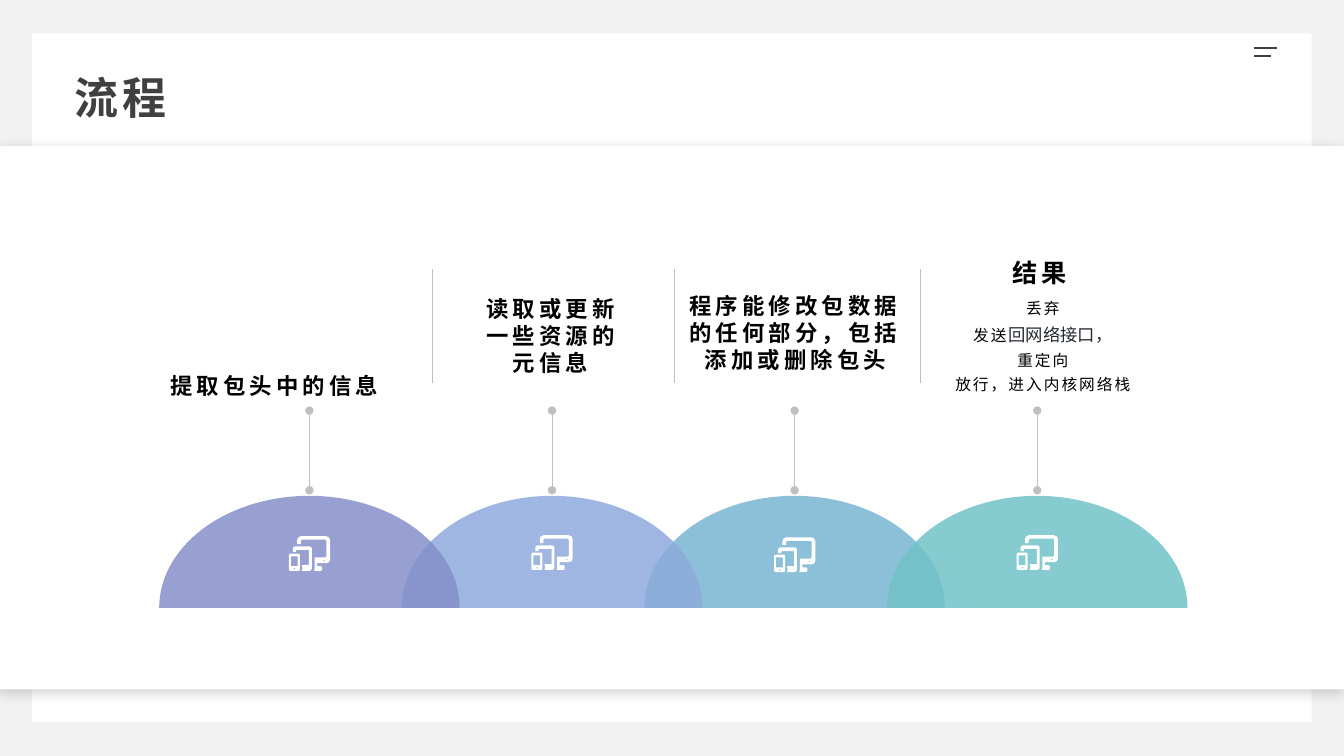
import math
from dataclasses import dataclass

from lxml import etree
from pptx import Presentation
from pptx import util as u
from pptx.dml.color import RGBColor
from pptx.enum import shapes, text
from pptx.oxml import ns


@dataclass(frozen=True)
class Theme:
    backdrop: str = "F2F2F2"
    panel: str = "FFFFFF"
    shadow: str = "0D0D0D"
    heading: str = "404040"
    ink: str = "000000"
    note: str = "24292F"
    rule: str = "BFBFBF"
    violet: str = "8590CA"
    blue: str = "8EAADC"
    azure: str = "79B6D3"
    teal: str = "70C2C7"
    main_font: str = "Noto Sans CJK SC"
    note_font: str = "Roboto"
    title_size: float = 31.4
    result_size: float = 18
    step_size: float = 16
    note_size: float = 12.4
    list_size: float = 11.2


theme = Theme()


def style_font(font, size, color, spacing, bold=False, name=theme.main_font):
    font.size, font.bold, font.name = u.Pt(size), bold, name
    font.color.rgb = RGBColor.from_string(color)
    properties = font._rPr
    properties.set("spc", str(int(spacing * 100)))
    east_asian = etree.Element(ns.qn("a:ea"), typeface=name)
    properties.find(ns.qn("a:latin")).addnext(east_asian)


def draw_line(start, end, color, width, ends=()):
    line = page.shapes.add_connector(
        shapes.MSO_CONNECTOR.STRAIGHT, *(u.Pt(value) for value in (*start, *end)))
    line.line.color.rgb = RGBColor.from_string(color)
    line.line.width = u.Pt(width)
    properties = line.element.spPr
    for tag in ends:
        etree.SubElement(properties.find(ns.qn("a:ln")), ns.qn(tag), type="oval")
    etree.SubElement(properties, ns.qn("a:effectLst"))


deck = Presentation()
deck.slide_width, deck.slide_height = u.Pt(960), u.Pt(540)
page = deck.slides.add_slide(deck.slide_layouts[1])
page.background.fill.solid()
page.background.fill.fore_color.rgb = RGBColor.from_string(theme.backdrop)

for area in ((23, 23.8, 914, 492), (0, 104.4, 960, 388)):
    panel = page.shapes.add_shape(
        shapes.MSO_SHAPE.RECTANGLE, *(u.Pt(value) for value in area))
    panel.fill.solid()
    panel.fill.fore_color.rgb = RGBColor.from_string(theme.panel)
    panel.line.fill.background()
    panel.shadow.inherit = False
effects = panel.element.spPr.find(ns.qn("a:effectLst"))
shadow = etree.SubElement(
    effects, ns.qn("a:outerShdw"), blurRad=str(u.Pt(10)), dist=str(u.Pt(3)),
    dir="5400000", algn="t", rotWithShape="0")
shade = etree.SubElement(shadow, ns.qn("a:srgbClr"), val=theme.shadow)
etree.SubElement(shade, ns.qn("a:alpha"), val="20000")

title = page.shapes.title
title.left, title.top, title.width, title.height = (
    u.Pt(value) for value in (47.9, 47.9, 864, 44.6))
frame = title.text_frame
frame.text = "流程"
frame.auto_size = text.MSO_AUTO_SIZE.NONE
frame.vertical_anchor = text.MSO_ANCHOR.TOP
frame.margin_left = frame.margin_right = u.Pt(5.5)
frame.margin_top = frame.margin_bottom = u.Pt(2.7)
para = frame.paragraphs[0]
para.alignment = text.PP_ALIGN.LEFT
para.space_after = u.Pt(8)
style_font(para.font, theme.title_size, theme.heading, 3, True)
title.element.getparent().append(title.element)

for right, level in ((912.2, 34.4), (907.9, 40)):
    draw_line((895.7, level), (right, level), theme.heading, 1)

dome_width, dome_height, dome_base, pitch = 214.6, 80, 434.2, 173.3
first_center = 221
device_icon = (
    ((3.3, 23.3), (4, 22.6), (4.7, 23.3), (4, 24)),
    ((24.5, 17.3), (25.2, 16.6), (25.9, 17.3), (25.2, 18)),
    ((1.4, 14.4), (1.4, 21.4), (6.3, 21.4), (6.3, 14.4)),
    ((0.7, 12.4), (7.2, 12.4), (7.9, 13.4), (7.9, 23.8),
     (7.2, 24.8), (0.7, 24.8), (0, 23.8), (0, 13.4)),
    ((4.6, 7.2), (15.1, 7.2), (16.4, 8.4), (16.4, 23.6), (15.1, 24.8),
     (9.4, 24.8), (9.4, 23.6), (10.2, 22.9), (9.4, 22), (9.4, 20.6),
     (14.4, 20.6), (14.4, 9.8), (5.2, 9.8), (5.2, 11.3), (2.9, 11.3),
     (2.9, 8.4), (3.6, 7.5)),
    ((8.6, 0), (26.6, 0), (28.7, 0.9), (29.5, 2.9), (29.5, 16.6),
     (28.7, 18.6), (26.6, 19.3), (20.2, 19.3), (20.2, 21.4), (23, 21.4),
     (23.8, 22.3), (23.8, 23.9), (23, 24.8), (18, 24.8), (18.4, 23.4),
     (18.4, 15.2), (26, 15.2), (26.8, 14.4), (26.8, 3.2), (26, 2.5),
     (9.3, 2.5), (8.6, 3.2), (8.6, 5.6), (6, 5.6), (6, 2.9), (6.7, 0.9)),
)
dome = [(dome_width / 2 * (1 - math.cos(math.radians(angle))),
         dome_height * (1 - math.sin(math.radians(angle))))
        for angle in range(0, 181, 3)]

steps = (
    (2, theme.azure, 383.8, (480.6, 243.9, 175, 26), theme.step_size,
     ("程序能修改包数据的任何部分，包括添加或删除包头",)),
    (1, theme.blue, 382.3, (258.2, 246, 270, 26), theme.step_size,
     ("读取或更新", "一些资源的", "元信息")),
    (0, theme.violet, 383, (108.4, 177.1, 175, 111.6), theme.step_size,
     ("提取包头中的信息",)),
    (3, theme.teal, 382.3, (655.2, 183.3, 175, 26), theme.result_size, ("结果",)),
)
for index, color, icon_top, area, size, lines in steps:
    center = first_center + index * pitch
    box = page.shapes.add_textbox(*(u.Pt(value) for value in area))
    frame = box.text_frame
    frame.word_wrap = True
    frame.vertical_anchor = text.MSO_ANCHOR.BOTTOM
    frame.text = "\n".join(lines)
    for para in frame.paragraphs:
        para.alignment = text.PP_ALIGN.CENTER
        style_font(para.font, size, theme.ink, 3, True)

    outlines = (
        ((dome,), center - dome_width / 2, dome_base - dome_height, color, 85),
        (device_icon, center - 14.7, icon_top, theme.panel, 100),
    )
    for contours, left, top, fill, opacity in outlines:
        first, *others = [[(u.Pt(left + x), u.Pt(top + y)) for x, y in contour]
                          for contour in contours]
        builder = page.shapes.build_freeform(*first[0])
        builder.add_line_segments(first[1:], close=True)
        for points in others:
            builder.move_to(*points[0])
            builder.add_line_segments(points[1:], close=True)
        outline = builder.convert_to_shape()
        outline.fill.solid()
        outline.fill.fore_color.rgb = RGBColor.from_string(fill)
        outline.line.fill.background()
        outline.shadow.inherit = False
        if opacity < 100:
            tint = outline.element.spPr.find(".//" + ns.qn("a:srgbClr"))
            etree.SubElement(tint, ns.qn("a:alpha"), val=str(opacity * 1000))
    draw_line((center, 350.2), (center, 293.3), theme.rule, 0.25,
              ("a:headEnd", "a:tailEnd"))

results = page.placeholders[1]
results.left, results.top, results.width, results.height = (
    u.Pt(value) for value in (657.4, 205.9, 175, 80))
frame = results.text_frame
frame.auto_size = text.MSO_AUTO_SIZE.NONE
frame.text = "丢弃\n发送\n重定向\n放行，进入内核网络栈"
for para in frame.paragraphs:
    para.alignment = text.PP_ALIGN.CENTER
    para.line_spacing = 1.3
    para.space_before = u.Pt(0)
    properties = para._p.get_or_add_pPr()
    properties.set("marL", "0")
    properties.set("indent", "0")
    etree.SubElement(properties, ns.qn("a:buNone"))
    style_font(para.font, theme.list_size, theme.ink, 1.5)
span = frame.paragraphs[1].add_run()
span.text = "回网络接口，"
style_font(span.font, theme.note_size, theme.note, 0, name=theme.note_font)
results.element.getparent().append(results.element)

for x in (308.9, 481.3, 657.4):
    draw_line((x, 192.2), (x, 273.6), theme.rule, 0.25)

deck.save("out.pptx")
